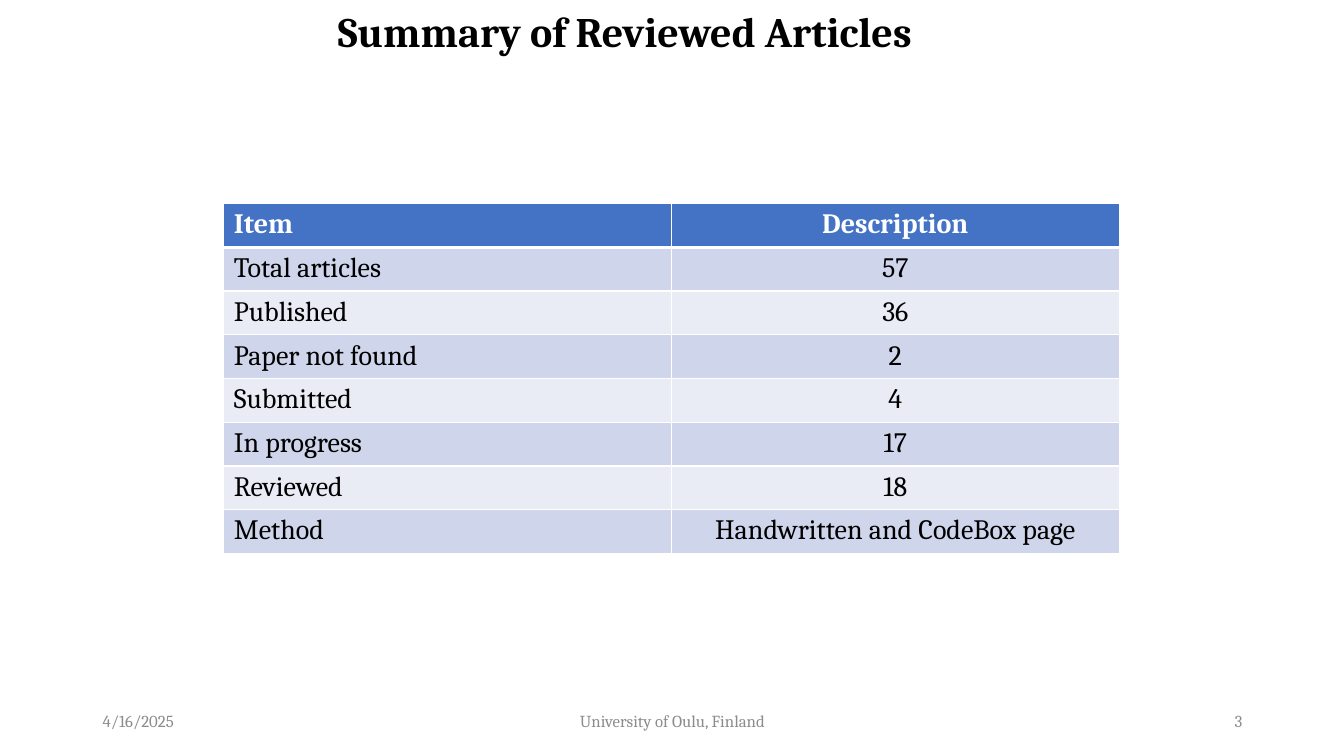
from dataclasses import dataclass

from lxml import etree
from pptx import Presentation
from pptx.dml.color import RGBColor
from pptx.enum.text import MSO_ANCHOR, MSO_AUTO_SIZE, PP_ALIGN
from pptx.oxml.ns import qn
from pptx.util import Pt

EMU_PER_PX = 9144
LEFT, CENTER, RIGHT = PP_ALIGN.LEFT, PP_ALIGN.CENTER, PP_ALIGN.RIGHT
TOP, MIDDLE = MSO_ANCHOR.TOP, MSO_ANCHOR.MIDDLE
GROW = MSO_AUTO_SIZE.SHAPE_TO_FIT_TEXT


@dataclass(frozen=True)
class Theme:
    font: str = "Cambria"
    ink: str = "000000"
    white: str = "FFFFFF"
    muted: str = "8C8C8C"
    header: str = "4472C4"
    bands: tuple = ("CFD5EA", "E9EBF5")
    title_size: int = 30
    table_size: int = 20
    footer_size: int = 12
    rule: int = 1
    header_rule: int = 3


def px(value):
    return value * EMU_PER_PX


def apply(target, values):
    for name, value in values.items():
        setattr(target, name, value)


class SlideBuilder:
    def __init__(self, presentation, theme):
        self.theme = theme
        self.slide = presentation.slides.add_slide(presentation.slide_layouts[5])

    def add_text(self, frame, text, size, color, align=LEFT, bold=False):
        paragraph = frame.paragraphs[0]
        paragraph.alignment = align
        run = paragraph.add_run()
        run.text = text
        apply(run.font, {"name": self.theme.font, "size": Pt(size), "bold": bold})
        run.font.color.rgb = RGBColor.from_string(color)

    def title(self, text, left, top, width, height):
        heading = self.slide.shapes.title
        apply(heading, {"left": px(left), "top": px(top),
                        "width": px(width), "height": px(height)})
        apply(heading.text_frame, {"word_wrap": False, "auto_size": GROW,
                                   "vertical_anchor": TOP})
        self.add_text(heading.text_frame, text, self.theme.title_size,
                      self.theme.ink, bold=True)

    def footer(self, text, left, top, width, height, align):
        frame = self.slide.shapes.add_textbox(
            px(left), px(top), px(width), px(height)).text_frame
        apply(frame, {"word_wrap": True, "vertical_anchor": MIDDLE})
        self.add_text(frame, text, self.theme.footer_size, self.theme.muted, align)

    def borders(self, cell, widths):
        # Border lines come before the fill in the cell properties
        properties = cell._tc.get_or_add_tcPr()
        for index, (side, width) in enumerate(widths.items()):
            line = etree.Element(qn(f"a:ln{side}"), w=str(Pt(width)))
            fill = etree.SubElement(line, qn("a:solidFill"))
            etree.SubElement(fill, qn("a:srgbClr"), val=self.theme.white)
            properties.insert(index, line)

    def table(self, rows, left, top, column_width, row_height):
        theme = self.theme
        columns = len(rows[0])
        grid = self.slide.shapes.add_table(
            len(rows), columns, px(left), px(top),
            px(column_width * columns), px(row_height * len(rows))).table
        for r, row in enumerate(rows):
            is_header = r == 0
            fill = theme.header if is_header else theme.bands[(r - 1) % 2]
            color = theme.white if is_header else theme.ink
            widths = {"L": theme.rule, "R": theme.rule,
                      "T": theme.header_rule if r == 1 else theme.rule,
                      "B": theme.header_rule if is_header else theme.rule}
            for c, text in enumerate(row):
                cell = grid.cell(r, c)
                cell.fill.solid()
                cell.fill.fore_color.rgb = RGBColor.from_string(fill)
                self.borders(cell, widths)
                self.add_text(cell.text_frame, text, theme.table_size, color,
                              CENTER if c else LEFT, is_header)


def main():
    presentation = Presentation()
    apply(presentation, {"slide_width": px(1333), "slide_height": px(750)})
    summary = SlideBuilder(presentation, Theme())

    # Heading
    summary.title("Summary of Reviewed Articles", 325, 0, 684, 61)

    # Article counts
    article_counts = [
        ("Item", "Description"),
        ("Total articles", "57"),
        ("Published", "36"),
        ("Paper not found", "2"),
        ("Submitted", "4"),
        ("In progress", "17"),
        ("Reviewed", "18"),
        ("Method", "Handwritten and CodeBox page"),
    ]
    summary.table(article_counts, 222, 202, 444, 41)

    # Footer line
    for text, left, width, align in (
        ("4/16/2025", 92, 300, LEFT),
        ("University of Oulu, Finland", 442, 450, CENTER),
        ("3", 942, 300, RIGHT),
    ):
        summary.footer(text, left, 695, width, 40, align)

    presentation.save("out.pptx")


if __name__ == "__main__":
    main()
